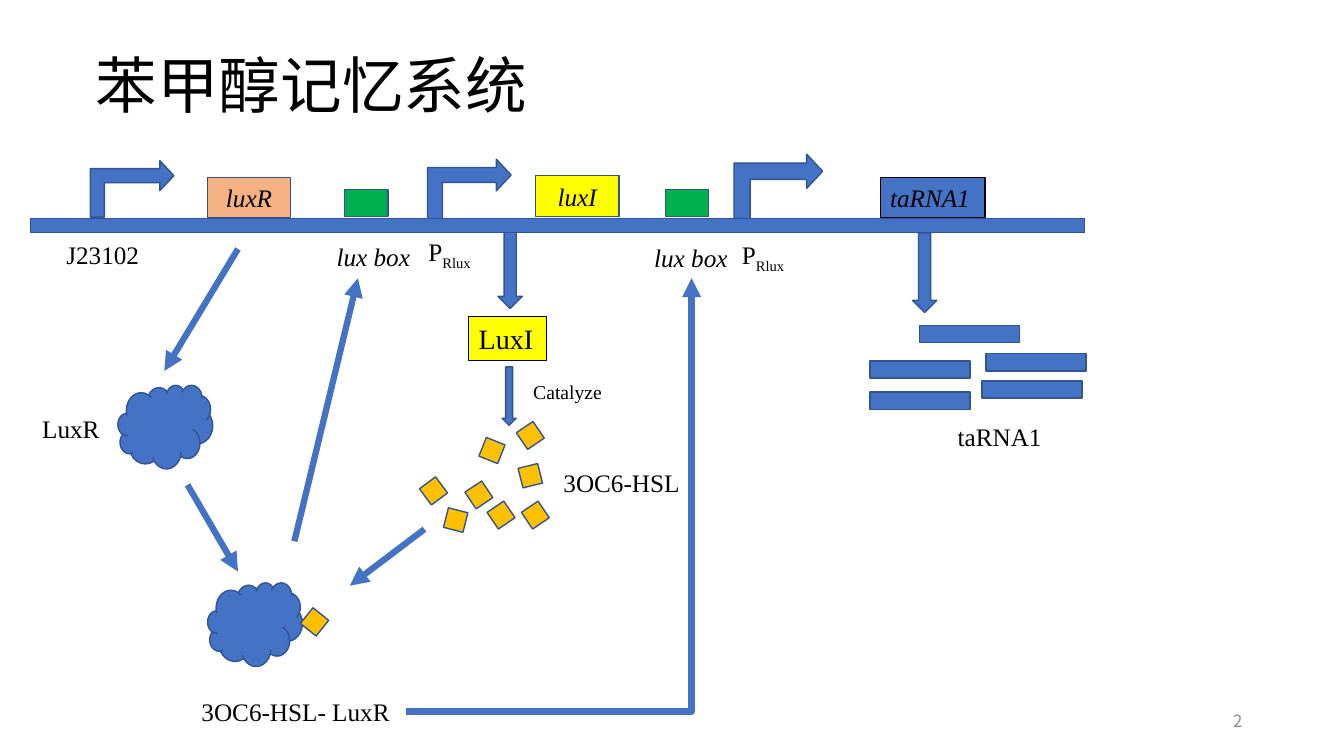
from dataclasses import dataclass
from typing import NamedTuple

from pptx import Presentation
from pptx.dml.color import RGBColor
from pptx.enum.shapes import MSO_CONNECTOR as CONN, MSO_SHAPE as SHAPE
from pptx.enum.text import MSO_ANCHOR as ANCHOR, PP_ALIGN as ALIGN
from pptx.oxml.ns import qn
from pptx.util import Inches, Pt
from lxml.etree import SubElement


@dataclass(frozen=True)
class Theme:
    """Colours, fonts and point sizes of the slide."""
    blue: str = "4472C4"
    edge: str = "325491"
    black: str = "000000"
    grey: str = "8C8C8C"
    yellow: str = "FFFF00"
    amber: str = "FFC000"
    peach: str = "F4B183"
    green: str = "00B050"
    serif: str = "Times New Roman"
    sans: str = "Noto Sans CJK SC"
    title: int = 44
    protein: int = 20
    label: int = 18
    note: int = 14
    number: int = 12
    thin: float = 0.75
    outline: float = 1
    arrow: float = 4.5


T = Theme()


class Box(NamedTuple):
    """A filled preset shape, with optional text."""
    kind: SHAPE
    at: tuple[float, float, float, float]
    fill: str = T.blue
    edge: str = T.edge
    weight: float = T.outline
    rotation: float = 0
    text: str = ""
    size: int = T.label
    italic: bool = False
    align: ALIGN = ALIGN.CENTER
    anchor: ANCHOR = ANCHOR.MIDDLE


class Label(NamedTuple):
    """A text box; sub is set as a subscript after the text."""
    at: tuple[float, float, float, float]
    text: str
    sub: str = ""
    size: int = T.label
    italic: bool = False
    font: str = T.serif
    color: str = T.black
    align: ALIGN = ALIGN.LEFT
    anchor: ANCHOR = ANCHOR.TOP


class Arrow(NamedTuple):
    """A connector that ends in a triangle."""
    start: tuple[float, float]
    end: tuple[float, float]
    bent: bool = False


def apply(target: object, values: dict) -> None:
    """Set every attribute named in values."""
    for name, value in values.items():
        setattr(target, name, value)


def add_run(p, text: str, size: int, font: str, color: str, italic: bool = False):
    """Add a formatted run to a paragraph and return it."""
    r = p.add_run()
    r.text = text
    apply(r.font, {"size": Pt(size), "name": font, "italic": italic})
    r.font.color.rgb = RGBColor.from_string(color)
    if font == T.sans:
        SubElement(r.font._element, qn("a:ea"), typeface=font)
    return r


def add_box(s, box: Box):
    """Draw a preset shape and return it."""
    sp = s.shapes.add_shape(box.kind, *map(Inches, box.at))
    sp.shadow.inherit = False
    sp.rotation = box.rotation
    sp.fill.solid()
    sp.fill.fore_color.rgb = RGBColor.from_string(box.fill)
    sp.line.color.rgb = RGBColor.from_string(box.edge)
    sp.line.width = Pt(box.weight)
    if box.text:
        tf = sp.text_frame
        apply(tf, {"word_wrap": True, "vertical_anchor": box.anchor})
        p = tf.paragraphs[0]
        p.alignment = box.align
        add_run(p, box.text, box.size, T.serif, T.black, box.italic)
    return sp


def add_promoter(s, at: tuple[float, float, float, float]) -> None:
    """Draw a bent promoter arrow that rises from the DNA and points right."""
    sp = add_box(s, Box(SHAPE.BENT_UP_ARROW, at, rotation=270))
    sp.adjustments[1] = 0.265
    sp._element.spPr.find(qn("a:xfrm")).set("flipV", "1")


def add_label(s, label: Label) -> None:
    """Write a text box."""
    tf = s.shapes.add_textbox(*map(Inches, label.at)).text_frame
    apply(tf, {"word_wrap": True, "vertical_anchor": label.anchor})
    p = tf.paragraphs[0]
    p.alignment = label.align
    style = (label.size, label.font, label.color, label.italic)
    add_run(p, label.text, *style)
    if label.sub:
        add_run(p, label.sub, *style).font._element.set("baseline", "-25000")


def add_arrow(s, arrow: Arrow) -> None:
    """Draw a straight or one-corner arrow."""
    kind = CONN.ELBOW if arrow.bent else CONN.STRAIGHT
    cx = s.shapes.add_connector(kind, *map(Inches, arrow.start + arrow.end))
    cx.line.color.rgb = RGBColor.from_string(T.blue)
    cx.line.width = Pt(T.arrow)
    spPr = cx._element.spPr
    SubElement(spPr.find(qn("a:ln")), qn("a:tailEnd"), type="triangle")
    SubElement(spPr, qn("a:effectLst"))
    if arrow.bent:
        spPr.find(qn("a:prstGeom")).set("prst", "bentConnector2")


def add_title(s, text: str) -> None:
    """Move, fill and format the title placeholder."""
    sp = s.shapes.title
    apply(sp, dict(zip(("left", "top", "width", "height"),
                       map(Inches, (0.85, 0.15, 11.5, 1.45)))))
    tf = sp.text_frame
    apply(tf, {"word_wrap": True, "vertical_anchor": ANCHOR.MIDDLE})
    p = tf.paragraphs[0]
    apply(p, {"alignment": ALIGN.LEFT, "line_spacing": 0.9})
    add_run(p, text, T.title, T.sans, T.black)


RECT, DOWN, CLOUD = SHAPE.RECTANGLE, SHAPE.DOWN_ARROW, SHAPE.CLOUD
SIGNAL, STRAND = 0.2, (0.99, 0.17)
LEFT_TOP = {"align": ALIGN.LEFT, "anchor": ANCHOR.TOP}

promoters = [(1.03, 1.46, 0.56, 0.83), (4.36, 1.46, 0.59, 0.83), (7.4, 1.41, 0.64, 0.88)]
genes = [
    Box(RECT, (2.06, 1.76, 0.82, 0.4), T.peach, text="luxR", italic=True),
    Box(RECT, (5.31, 1.74, 0.83, 0.41), T.yellow, text="luxI", italic=True),
    Box(RECT, (8.73, 1.76, 1.04, 0.4), T.blue, T.black, T.thin,
        text="taRNA1", italic=True, **LEFT_TOP),
]
dna = Box(RECT, (0.3, 2.17, 10.46, 0.14))
lux_boxes = [Box(RECT, (x, 1.88, 0.43, 0.27), T.green) for x in (3.42, 6.6)]
products = [
    Box(RECT, (4.65, 3.14, 0.77, 0.44), T.yellow, T.black, T.thin,
        text="LuxI", size=T.protein, **LEFT_TOP),
    Box(CLOUD, (1.17, 3.82, 0.94, 0.83)),
    Box(CLOUD, (2.06, 5.78, 0.94, 0.83)),
]
steps = [Box(DOWN, at) for at in
         ((4.94, 2.27, 0.24, 0.79), (4.98, 3.64, 0.14, 0.58), (9.05, 2.31, 0.24, 0.79))]
signals = [Box(RECT, (x, y, SIGNAL, SIGNAL), T.amber, rotation=turn) for x, y, turn in (
    (4.78, 4.37, 21.6), (5.16, 4.22, 325.8), (4.65, 4.81, 326.3),
    (4.42, 5.06, 14.4), (5.16, 4.62, 346.1), (4.2, 4.77, 323.4),
    (4.87, 5.01, 325.7), (5.21, 5.01, 325.9), (3.02, 6.07, 38.8))]
strands = [Box(SHAPE.FLOWCHART_PROCESS, (x, y, *STRAND)) for x, y in (
    (8.63, 3.58), (9.78, 3.51), (8.63, 3.89), (9.74, 3.78), (9.12, 3.23))]
labels = [
    Label((0.56, 2.33, 0.94, 0.4), "J23102"),
    Label((3.24, 2.34, 0.94, 0.4), "lux box", italic=True),
    Label((6.39, 2.36, 0.94, 0.4), "lux box", italic=True),
    Label((4.15, 2.3, 0.7, 0.4), "P", "Rlux"),
    Label((7.26, 2.33, 0.87, 0.4), "P", "Rlux"),
    Label((0.32, 4.05, 0.82, 0.4), "LuxR"),
    Label((5.19, 3.72, 1.02, 0.34), "Catalyze", size=T.note),
    Label((5.49, 4.59, 1.44, 0.4), "3OC6-HSL"),
    Label((1.9, 6.86, 2.14, 0.4), "3OC6-HSL- LuxR"),
    Label((9.4, 4.13, 1.04, 0.4), "taRNA1"),
    Label((9.42, 6.95, 3, 0.4), "2", size=T.number, font=T.sans, color=T.grey,
          align=ALIGN.RIGHT, anchor=ANCHOR.MIDDLE),
]
arrows = [
    Arrow((2.36, 2.47), (1.63, 3.68)),
    Arrow((1.86, 4.81), (2.36, 5.67)),
    Arrow((4.21, 5.25), (3.47, 5.81)),
    Arrow((2.92, 5.37), (3.55, 2.76)),
    Arrow((4.03, 7.06), (6.86, 2.76), bent=True),
]

prs = Presentation()
apply(prs, {"slide_width": Inches(13.33), "slide_height": Inches(7.5)})
s = prs.slides.add_slide(prs.slide_layouts[5])
add_title(s, "苯甲醇记忆系统")
for promoter in promoters:
    add_promoter(s, promoter)
for box in steps + genes + [dna] + lux_boxes + products + signals + strands:
    add_box(s, box)
for arrow in arrows:
    add_arrow(s, arrow)
for label in labels:
    add_label(s, label)
prs.save("out.pptx")
